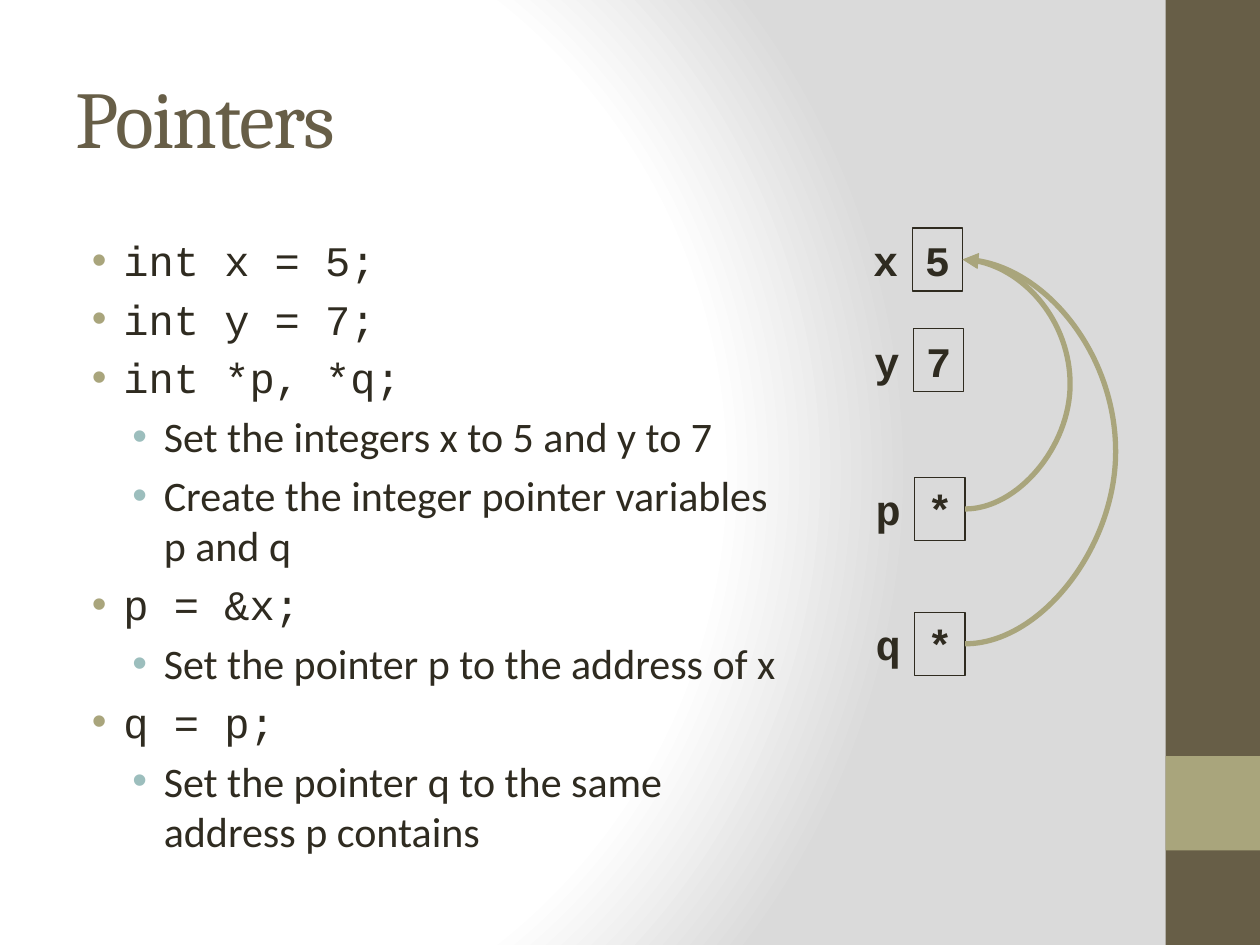
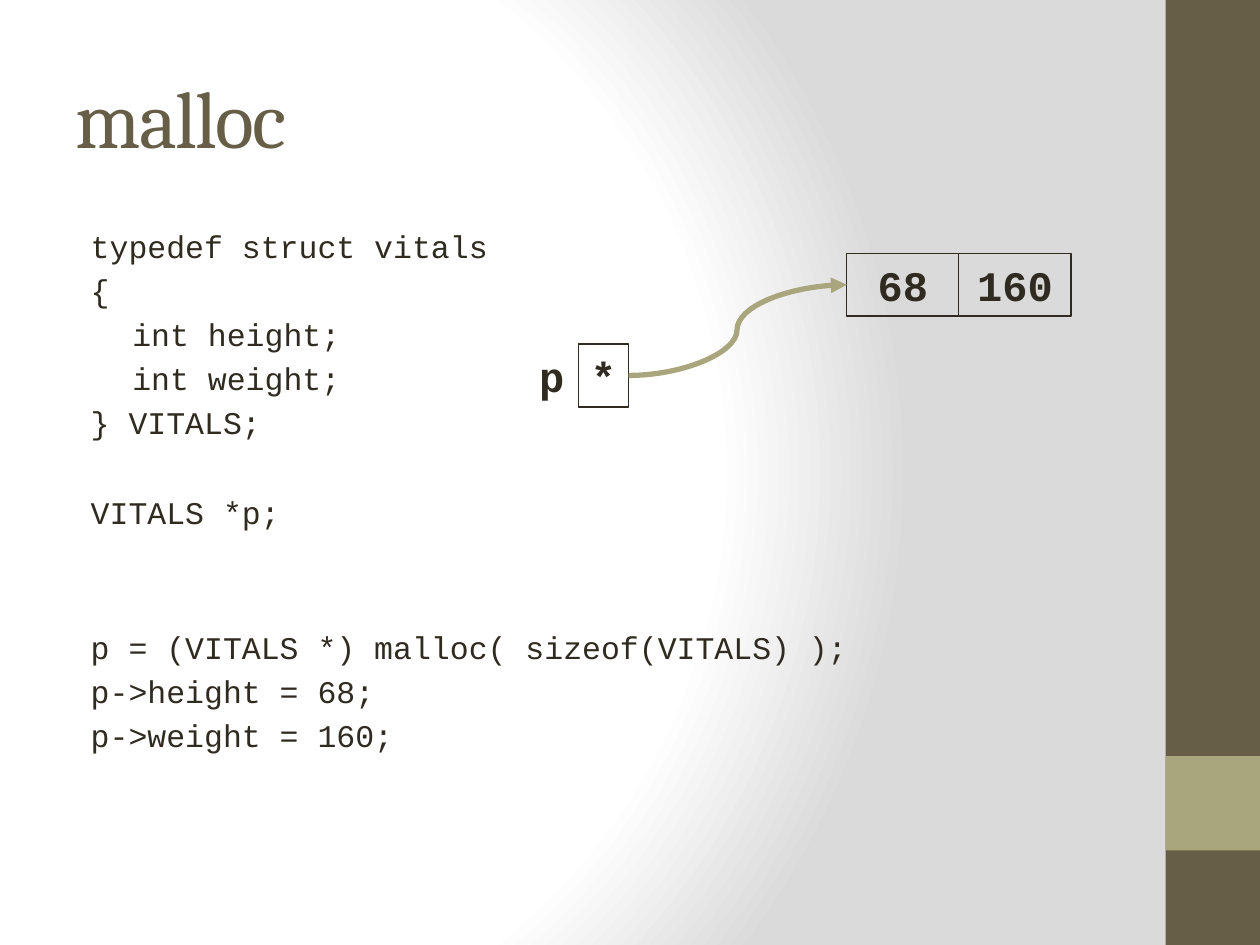
from lxml import etree
from pptx import Presentation
from pptx import util as u
from pptx.dml import color
from pptx.enum import shapes, text
from pptx.oxml import ns, parse_xml

Inches, Pt = u.Inches, u.Pt
COLORS = {
    "ink": "2F2B20",
    "brown": "675E47",
    "olive": "A9A57C",
    "teal": "9CBEBD",
    "white": "FFFFFF",
    "gray": "DADADA",
}
CODE, PROSE, HEADING = "Courier New", "Calibri", "Cambria"
BOX_WIDTH, BOX_HEIGHT, CELL_WIDTH = 0.4, 0.5, 0.89


def rgb(name):
    return color.RGBColor.from_string(COLORS[name])


def add_xml(parent, tag, **attributes):
    return etree.SubElement(parent, ns.qn(tag), attributes)


class Slides:
    """Holds the deck's style and the page being filled."""

    def __init__(self):
        self.deck = Presentation()
        self.deck.slide_width, self.deck.slide_height = Inches(10), Inches(7.5)
        self.page = None
        self.style_background()

    def style_background(self):
        master = self.deck.slide_master
        master.background.fill.gradient()
        old = master.element.xpath(".//p:bgPr/a:gradFill")[0]
        stops = "".join(
            f'<a:gs pos="{place * 1000}"><a:srgbClr val="{COLORS[name]}"/></a:gs>'
            for place, name in ((0, "white"), (75, "white"), (100, "gray")))
        old.getparent().replace(old, parse_xml(
            f'<a:gradFill {ns.nsdecls("a")} rotWithShape="1">'
            f'<a:gsLst>{stops}</a:gsLst><a:path path="circle">'
            '<a:fillToRect l="20000" t="50000" r="100000" b="50000"/>'
            '</a:path></a:gradFill>'))

    def new_page(self, title):
        self.page = self.deck.slides.add_slide(self.deck.slide_layouts[1])
        self.add_band(0, 7.5, "brown")
        self.add_band(6, 0.75, "olive")
        box = self.page.shapes.title
        self.place(box, 0.5, 0.3, 8.33, 1.25)
        box.text_frame.vertical_anchor = text.MSO_ANCHOR.MIDDLE
        para = box.text_frame.paragraphs[0]
        para.text = title
        para.alignment = text.PP_ALIGN.LEFT
        self.set_font(para, HEADING, 46, "brown")
        para.font._element.set("spc", "-100")

    def add_band(self, top, height, fill):
        band = self.page.shapes.add_shape(
            shapes.MSO_SHAPE.RECTANGLE, Inches(9.25), Inches(top), Inches(0.75), Inches(height))
        band.shadow.inherit = False
        band.fill.solid()
        band.fill.fore_color.rgb = rgb(fill)
        band.line.fill.background()

    @staticmethod
    def place(box, left, top, width, height):
        box.left, box.top = Inches(left), Inches(top)
        box.width, box.height = Inches(width), Inches(height)

    @staticmethod
    def set_font(para, name, size, ink="ink", bold=False):
        para.font.name, para.font.size, para.font.bold = name, Pt(size), bold
        para.font.color.rgb = rgb(ink)

    def body_paragraphs(self, area, lines):
        """Fill the body placeholder and yield each paragraph with its line."""
        body = self.page.placeholders[1]
        self.place(body, *area)
        frame = body.text_frame
        frame.auto_size = text.MSO_AUTO_SIZE.NONE
        for number, line in enumerate(lines):
            para = frame.paragraphs[0] if number == 0 else frame.add_paragraph()
            para.level, para.text = line[:2]
            yield para, line

    @staticmethod
    def indent(para, margin, first, bullet=None):
        props = para._p.get_or_add_pPr()
        props.set("marL", str(Inches(margin)))
        props.set("indent", str(Inches(first)))
        if bullet:
            add_xml(add_xml(props, "a:buClr"), "a:srgbClr", val=COLORS[bullet])
            add_xml(props, "a:buChar", char="•")
        else:
            add_xml(props, "a:buNone")

    def add_bullets(self, area, lines):
        """Code stands on level 0, its explanation on level 1."""
        styles = ((0.38, "olive", CODE), (0.7, "teal", PROSE))
        for para, (level, _) in self.body_paragraphs(area, lines):
            margin, bullet, font = styles[level]
            self.indent(para, margin, -0.25, bullet)
            self.set_font(para, font, 24)

    def add_code(self, area, lines):
        """Lines are (level, text, points of extra space above or None)."""
        for para, (level, _, gap) in self.body_paragraphs(area, lines):
            if gap:
                para.space_before = Pt(gap)
            self.indent(para, (0.12, 0.45)[level], 0)
            self.set_font(para, CODE, 18)

    def add_value(self, parent, value, left, top, width=BOX_WIDTH):
        box = parent.shapes.add_shape(
            shapes.MSO_SHAPE.RECTANGLE, Inches(left), Inches(top),
            Inches(width), Inches(BOX_HEIGHT))
        box.shadow.inherit = False
        box.fill.background()
        box.line.color.rgb, box.line.width = rgb("ink"), Pt(0.75)
        self.write_symbol(box, value)
        return box

    def write_symbol(self, box, symbol):
        frame = box.text_frame
        frame.word_wrap = False
        frame.vertical_anchor = text.MSO_ANCHOR.TOP
        para = frame.paragraphs[0]
        para.text = symbol
        para.alignment = text.PP_ALIGN.CENTER
        self.set_font(para, CODE, 24, bold=True)

    def add_variable(self, name, value, left, top):
        """Draw a value box with its name on the left, and return the box."""
        group = self.page.shapes.add_group_shape()
        box = self.add_value(group, value, left, top)
        label = group.shapes.add_textbox(
            Inches(left - 0.41), Inches(top), Inches(BOX_WIDTH), Inches(BOX_HEIGHT))
        self.write_symbol(label, name)
        return box

    def add_pointer(self, start, end, end_side, bend):
        """Curve from the right of start to a side of end, turning at x = bend."""
        curve = self.page.shapes.add_connector(shapes.MSO_CONNECTOR.CURVE, 0, 0, 0, 0)
        curve.begin_connect(start, 3)
        curve.end_connect(end, end_side)
        curve.line.color.rgb, curve.line.width = rgb("olive"), Pt(3)
        props = curve._element.spPr
        add_xml(props.find(ns.qn("a:ln")), "a:tailEnd", type="triangle")
        add_xml(props, "a:effectLst")
        share = (Inches(bend) - curve.begin_x) / (curve.end_x - curve.begin_x)
        add_xml(props.find(".//" + ns.qn("a:avLst")), "a:gd",
                name="adj1", fmla=f"val {round(share * 100000)}")


def add_pointers_page(slides):
    slides.new_page("Pointers")
    slides.add_bullets((0.5, 1.81, 5.83, 5.19), [
        (0, "int x = 5;"),
        (0, "int y = 7;"),
        (0, "int *p, *q;"),
        (1, "Set the integers x to 5 and y to 7"),
        (1, "Create the integer pointer variables p and q"),
        (0, "p = &x;"),
        (1, "Set the pointer p to the address of x"),
        (0, "q = p;"),
        (1, "Set the pointer q to the same address p contains"),
    ])
    x = slides.add_variable("x", "5", 7.24, 1.81)
    slides.add_variable("y", "7", 7.25, 2.61)
    for name, top, bend in (("p", 3.79, 8.49), ("q", 4.86, 8.85)):
        pointer = slides.add_variable(name, "*", 7.26, top)
        slides.add_pointer(pointer, x, 3, bend)


def add_malloc_page(slides):
    slides.new_page("malloc")
    slides.add_code((0.5, 1.75, 6.53, 5.25), [
        (0, "typedef struct vitals", None),
        (0, "{", None),
        (1, "int height;", None),
        (1, "int weight;", None),
        (0, "} VITALS;", None),
        (0, "VITALS *p;", 30),
        (0, "p = (VITALS *) malloc( sizeof(VITALS) );", 55),
        (0, "p->height = 68;", None),
        (0, "p->weight = 160;", None),
    ])
    pointer = slides.add_variable("p", "*", 4.59, 2.73)
    height, _ = [
        slides.add_value(slides.page, value, 6.72 + column * CELL_WIDTH, 2.01, CELL_WIDTH)
        for column, value in enumerate(("68", "160"))]
    slides.add_pointer(pointer, height, 1, 5.85)


def main():
    slides = Slides()
    add_pointers_page(slides)
    add_malloc_page(slides)
    slides.deck.save("out.pptx")


if __name__ == "__main__":
    main()
